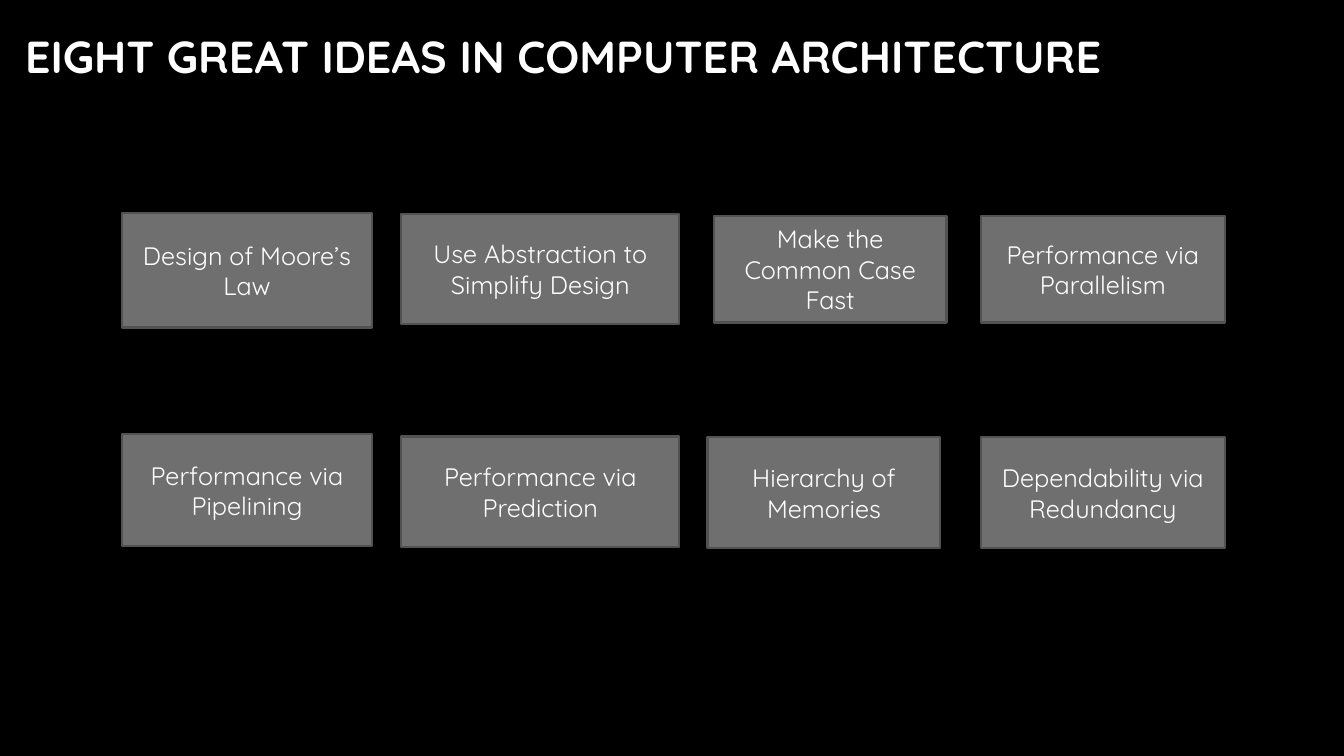
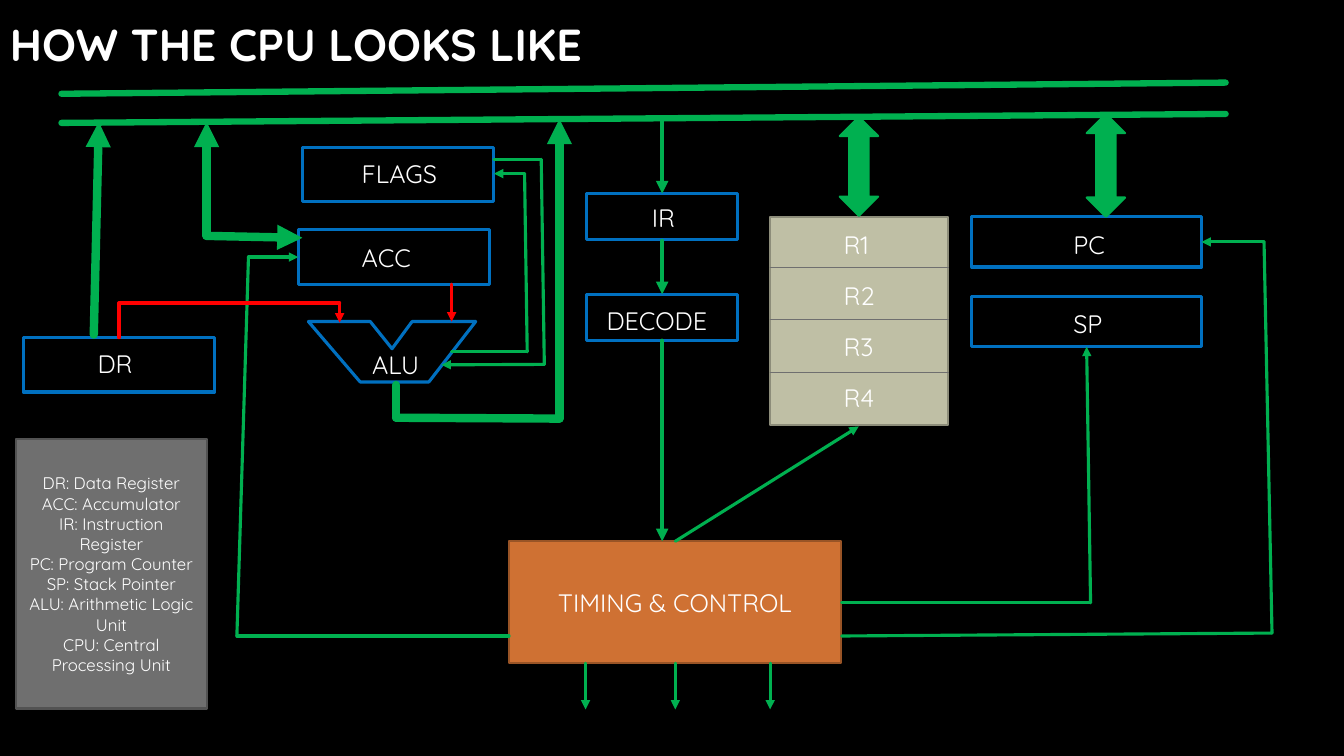
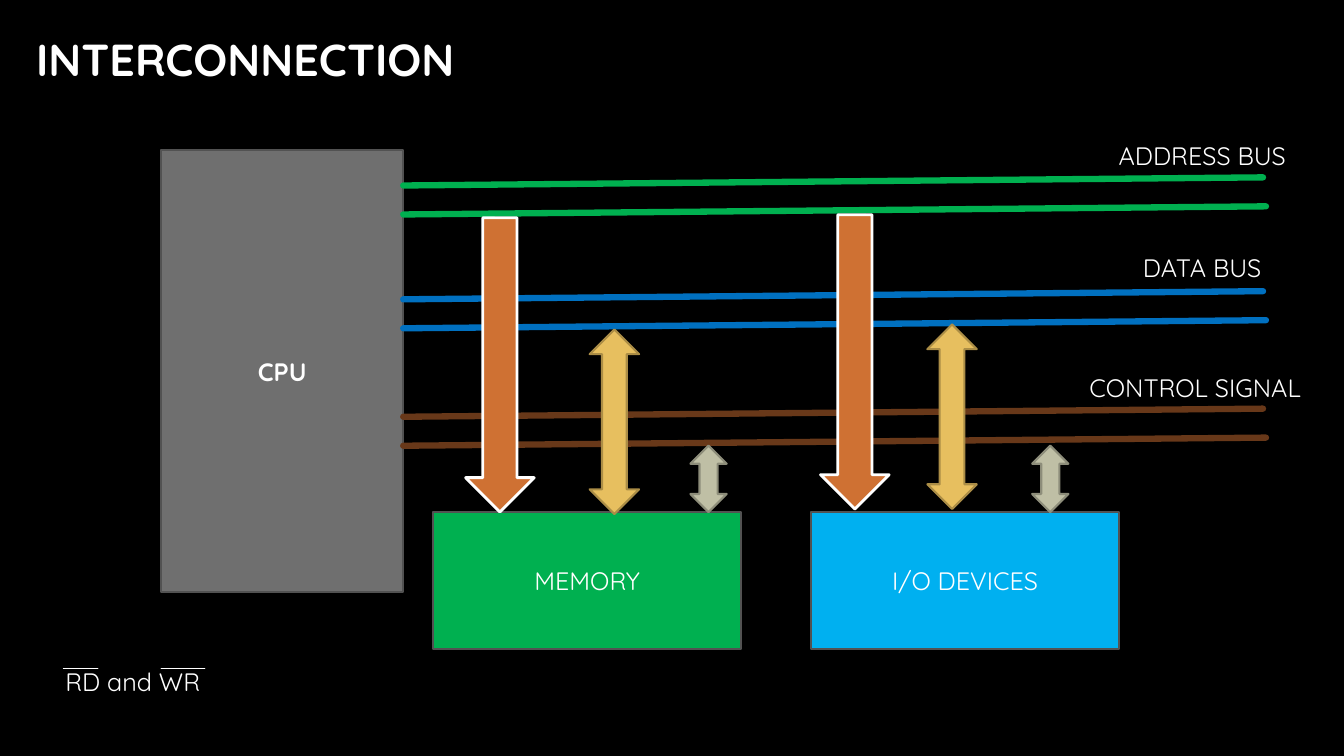
"""Build three slides on computer architecture."""
from itertools import pairwise

from lxml.etree import SubElement
from pptx import Presentation
from pptx.dml.color import RGBColor
from pptx.enum.shapes import MSO_CONNECTOR, MSO_SHAPE as SHAPE
from pptx.enum.text import MSO_ANCHOR as ANCHOR, PP_ALIGN as ALIGN
from pptx.oxml.ns import qn
from pptx.util import Pt

FONT = "Quicksand"
BLACK = RGBColor(0x00, 0x00, 0x00)
WHITE = RGBColor(0xFF, 0xFF, 0xFF)
GRAY = RGBColor(0x6F, 0x6F, 0x6F)
DARK_GRAY = RGBColor(0x52, 0x52, 0x52)
GREEN = RGBColor(0x00, 0xB0, 0x50)
BLUE = RGBColor(0x00, 0x70, 0xC0)
SKY = RGBColor(0x00, 0xB0, 0xF0)
RED = RGBColor(0xFF, 0x00, 0x00)
BROWN = RGBColor(0x68, 0x38, 0x19)
ORANGE = RGBColor(0xCF, 0x71, 0x33)
DARK_ORANGE = RGBColor(0x99, 0x54, 0x26)
GOLD = RGBColor(0xE7, 0xBF, 0x5F)
DARK_GOLD = RGBColor(0xAB, 0x8D, 0x46)
SAND = RGBColor(0xBF, 0xBF, 0xA5)
DARK_SAND = RGBColor(0x8D, 0x8D, 0x7A)

IDEAS = [
    (87.1, 151.9, 178.6, 82.1, "Design of Moore’s Law"),
    (286.6, 152.6, 198.7, 79.2, "Use Abstraction to Simplify Design"),
    (509.8, 154.1, 166.3, 76.3, "Make the Common Case Fast"),
    (700.6, 154.1, 174.2, 76.3, "Performance via Parallelism"),
    (87.1, 310.3, 178.6, 79.9, "Performance via Pipelining"),
    (286.6, 311.8, 198.7, 79.2, "Performance via Prediction"),
    (505.4, 312.5, 166.3, 79.2, "Hierarchy of Memories"),
    (700.6, 312.5, 174.2, 79.2, "Dependability via Redundancy"),
]
UNITS = [
    ("ACC", (213.1, 164.2, 136.8, 38.9), (38.2, 5)),
    ("FLAGS", (216, 105.1, 136.8, 38.9), (35.3, 4.3)),
    ("DR", (16.6, 241.2, 136.8, 38.9), (46, 4.3)),
    ("PC", (694.1, 154.8, 164.2, 36), (65.5, 5.8)),
    ("SP", (694.1, 211.7, 164.2, 36), (65.5, 5)),
    ("IR", (419, 138.2, 108, 33.1), (39.6, 2.9)),
    ("DECODE", (419, 210.2, 108, 33.1), (7.2, 4.3)),
]
LEGEND = [
    "DR: Data Register", "ACC: Accumulator", "IR: Instruction Register",
    "PC: Program Counter", "SP: Stack Pointer", "ALU: Arithmetic Logic Unit",
    "CPU: Central Processing Unit",
]
THIN_WIRES = [
    [(482.4, 386.6), (613.4, 304.6)],
    [(601.2, 430.6), (779, 430.6), (776.2, 247.7)],
    [(601.2, 454.3), (908.6, 452.2), (902.9, 172.8), (858.2, 172.8)],
    [(363.6, 454.3), (169.2, 454.3), (177.5, 183.6), (213.1, 183.6)],
    [(322.6, 251.3), (376.6, 251.3), (374.7, 124), (352.8, 124)],
    [(352.8, 113.8), (386.6, 113.8), (388.8, 260.3), (315.4, 260.6)],
]
RED_WIRES = [
    [(322.6, 203), (322.6, 229.7)],
    [(85, 241.2), (85, 216.4), (242.6, 216.4), (242.6, 230.4)],
]
DECODE_WIRES = [(84.2, 138.2), (172.1, 210.2), (243.4, 386.6)]
THICK_WIRES = [
    [(283, 275), (283, 298.4), (399.6, 299), (399.6, 85)],
    [(67, 239), (70.6, 87.1)],
]


def write(tf, lines, size=18, bold=False, align=ALIGN.LEFT, anchor=ANCHOR.TOP):
    """Fill a text frame with one paragraph for each line."""
    tf.word_wrap = True
    tf.vertical_anchor = anchor
    for i, line in enumerate(lines):
        p = tf.paragraphs[0] if i == 0 else tf.add_paragraph()
        p.alignment = align
        r = p.add_run()
        r.text = line
        r.font.name = FONT
        r.font.size = Pt(size)
        r.font.bold = bold
        r.font.color.rgb = WHITE


def label(s, text, x, y, w, h=28.8, **fmt):
    """Add a text box."""
    sp = s.shapes.add_textbox(Pt(x), Pt(y), Pt(w), Pt(h))
    write(sp.text_frame, [text], **fmt)


def paint(sp, fill, line, width):
    """Set the fill and outline of a shape without shadow."""
    sp.shadow.inherit = False
    if fill is None:
        sp.fill.background()
    else:
        sp.fill.solid()
        sp.fill.fore_color.rgb = fill
    sp.line.color.rgb = line
    sp.line.width = Pt(width)


def block(s, box, fill=GRAY, line=DARK_GRAY, width=1.5, kind=SHAPE.RECTANGLE, lines=(), **fmt):
    """Add a preset shape with centred text."""
    sp = s.shapes.add_shape(kind, *map(Pt, box))
    paint(sp, fill, line, width)
    write(sp.text_frame, lines, align=ALIGN.CENTER, anchor=ANCHOR.MIDDLE, **fmt)


def wire(s, points, color=GREEN, width=2.25, head=False, tail=False):
    """Join points with straight connectors, with arrowheads at the ends."""
    last = len(points) - 2
    for i, (a, b) in enumerate(pairwise(points)):
        c = s.shapes.add_connector(MSO_CONNECTOR.STRAIGHT, *map(Pt, a + b))
        c.line.color.rgb = color
        c.line.width = Pt(width)
        ln = c.line._get_or_add_ln()
        ln.set("cap", "rnd")
        if head and i == 0:
            SubElement(ln, qn("a:headEnd"), type="triangle")
        if tail and i == last:
            SubElement(ln, qn("a:tailEnd"), type="triangle")
        SubElement(c._element.spPr, qn("a:effectLst"))


def new_slide(prs, title, box):
    """Add a black slide with its title."""
    s = prs.slides.add_slide(prs.slide_layouts[6])
    s.background.fill.solid()
    s.background.fill.fore_color.rgb = BLACK
    label(s, title, *box, size=32, bold=True, anchor=ANCHOR.MIDDLE)
    return s


def unit(s, text, box, offset):
    """Draw an outlined CPU unit with its name."""
    x, y, w, _ = box
    dx, dy = offset
    block(s, box, fill=None, line=BLUE, width=2.25)
    label(s, text, x + dx, y + dy, w - dx + 12)


def alu(s, x, y, w, h):
    """Draw the notched ALU outline and its name."""
    outline = [(0.37, 0), (0.5, 0.45), (0.62, 0), (1, 0), (0.72, 1), (0.31, 1)]
    fb = s.shapes.build_freeform(Pt(x), Pt(y))
    fb.add_line_segments([(Pt(x + u * w), Pt(y + v * h)) for u, v in outline])
    paint(fb.convert_to_shape(), None, BLUE, 2.25)
    label(s, "ALU", x + 36, y + 16.6, 52.6, align=ALIGN.CENTER)


def registers(s, x, y, w, h):
    """Draw the stack of four general registers."""
    block(s, (x, y, w, h), fill=SAND, line=DARK_SAND)
    for i in range(3):
        row = y + 36 + 37.5 * i
        wire(s, [(x, row), (x + w, row)], color=GRAY, width=0.75)
    for i in range(4):
        label(s, f"R{i + 1}", x + 45.4, y + 5.8 + 36.2 * i, 36.7)


def timing(s, x, y, w, h):
    """Draw the control unit and its outgoing signals."""
    block(s, (x, y, w, h), fill=ORANGE, line=DARK_ORANGE, lines=["TIMING & CONTROL"])
    for dx in (54.7, 118.8, 186.5):
        wire(s, [(x + dx, y + h), (x + dx, y + h + 33.1)], tail=True)


def bus(s, x, y, color, text, dx, dy):
    """Draw the two lines of a bus and its name."""
    wire(s, [(x, y), (x + 614.2, y - 5.8)], color=color, width=4.5)
    wire(s, [(x, y + 20.7), (x + 616.3, y + 14.9)], color=color, width=4.5)
    label(s, text, x + dx, y + dy, 178)


def device(s, x, y, w, h, text, fill, address, data, control):
    """Draw a device and the arrows that tie it to the buses."""
    block(s, (x, y, w, h), fill=fill, lines=[text])
    for (dx, dy), aw, ah, kind, color, line, width in (
        (data, 35.3, 131.8, SHAPE.UP_DOWN_ARROW, GOLD, DARK_GOLD, 1.5),
        (control, 25.9, 47.5, SHAPE.UP_DOWN_ARROW, SAND, DARK_SAND, 1.5),
        (address, 49, 210.2, SHAPE.DOWN_ARROW, ORANGE, WHITE, 2),
    ):
        block(s, (x + dx, y + dy, aw, ah), fill=color, line=line, width=width, kind=kind)


def ideas_slide(prs):
    """Build the slide of eight ideas."""
    s = new_slide(prs, "EIGHT GREAT IDEAS IN COMPUTER ARCHITECTURE", (10.8, 6.5, 918, 67))
    for *box, text in IDEAS:
        block(s, box, lines=[text])


def cpu_slide(prs):
    """Build the diagram of the CPU."""
    s = new_slide(prs, "HOW THE CPU LOOKS LIKE", (0, 2.9, 779.8, 56.2))
    alu(s, 220.3, 229.7, 119.5, 43.2)
    registers(s, 550.1, 154.8, 127.4, 149)
    for item in UNITS:
        unit(s, *item)
    timing(s, 363.6, 386.6, 236.9, 87.1)
    for points in THIN_WIRES:
        wire(s, points, tail=True)
    for left, right in ((67, 59), (87.8, 81.4)):
        wire(s, [(43.9, left), (875.5, right)], width=4.5)
    for box in ((776.2, 81.4, 27.4, 73.4), (599.8, 83.5, 27.4, 70.6)):
        block(s, box, fill=GREEN, line=GREEN, kind=SHAPE.UP_DOWN_ARROW)
    wire(s, [(147.6, 87.1), (147.6, 168.5), (216, 169.9)], width=6, head=True, tail=True)
    for points in THICK_WIRES:
        wire(s, points, width=6, tail=True)
    for points in RED_WIRES:
        wire(s, points, color=RED, tail=True)
    for top, bottom in DECODE_WIRES:
        wire(s, [(473, top), (473, bottom)], width=3, tail=True)
    block(s, (11.5, 313.9, 136.1, 192.2), lines=LEGEND, size=12)


def interconnection_slide(prs):
    """Build the diagram of the buses."""
    s = new_slide(prs, "INTERCONNECTION", (18.7, 15.8, 779.8, 51.8))
    block(s, (115.2, 107.3, 172.8, 315.4), lines=["CPU"], bold=True)
    bus(s, 288, 132.5, GREEN, "ADDRESS BUS", 504, -36)
    bus(s, 288, 213.8, BLUE, "DATA BUS", 521.3, -37.4)
    bus(s, 288, 297.7, BROWN, "CONTROL SIGNAL", 483.1, -35.6)
    device(s, 309.6, 365.8, 219.6, 97.9, "MEMORY", GREEN,
           address=(23, -210.3), data=(111.6, -130.4), control=(183.6, -47.5))
    device(s, 579.6, 365.8, 219.6, 97.9, "I/O DEVICES", SKY,
           address=(6.5, -212.4), data=(82.8, -134), control=(157.7, -47.5))
    label(s, "RD and WR", 39.6, 472.3, 123.1)
    for left, right in ((45.4, 69.8), (115.2, 146.2)):
        wire(s, [(left, 477.4), (right, 477.4)], color=WHITE, width=1)


def main():
    """Build and save the presentation."""
    prs = Presentation()
    prs.slide_width, prs.slide_height = Pt(960), Pt(540)
    ideas_slide(prs)
    cpu_slide(prs)
    interconnection_slide(prs)
    prs.save("out.pptx")


if __name__ == "__main__":
    main()
